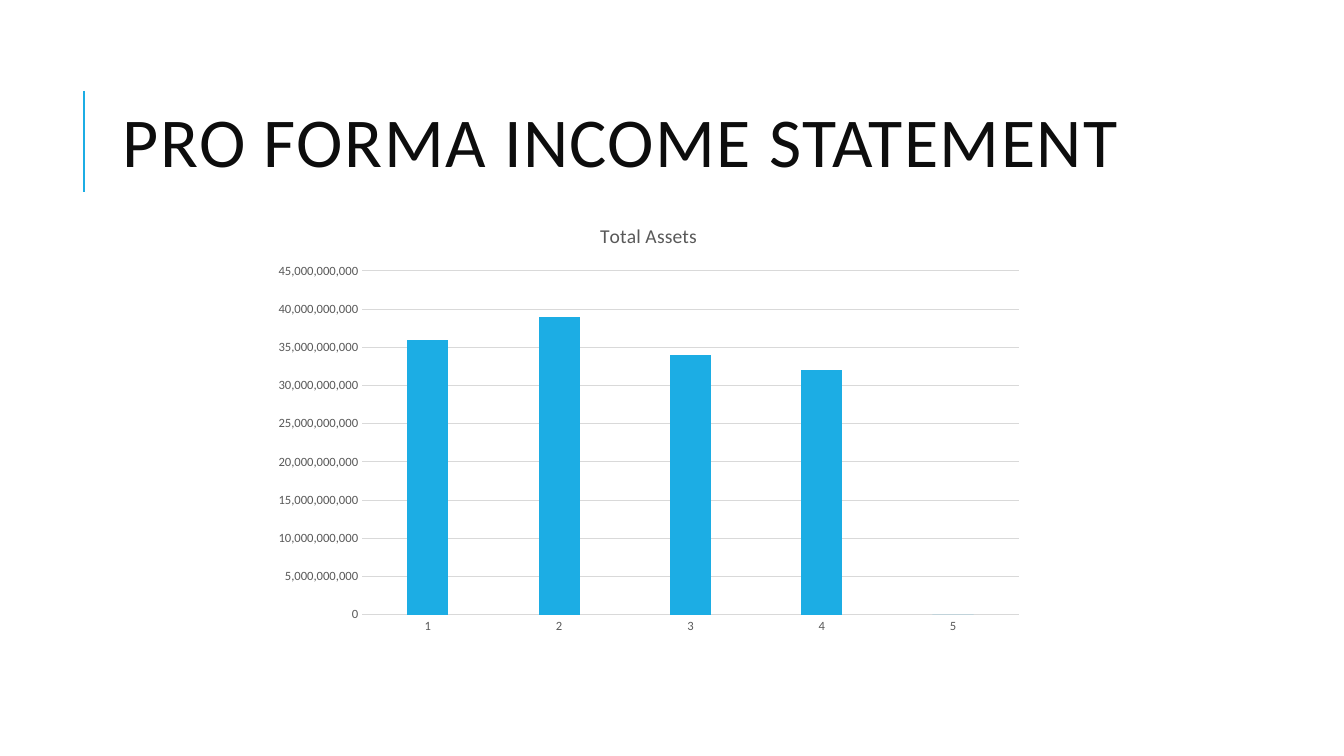
"""Build the pro forma income statement slide with its total assets chart."""
from dataclasses import dataclass

from lxml import etree
from pptx import Presentation
from pptx.chart.data import CategoryChartData
from pptx.dml.color import RGBColor
from pptx.enum import chart as kinds, shapes, text
from pptx.oxml import ns
from pptx.util import Pt


@dataclass(frozen=True)
class Theme:
    """Colours, font and type sizes of the slide."""
    face: str = "Calibri"
    accent: RGBColor = RGBColor(0x1C, 0xAD, 0xE4)
    ink: RGBColor = RGBColor(0x0D, 0x0D, 0x0D)
    label: RGBColor = RGBColor(0x59, 0x59, 0x59)
    grid: RGBColor = RGBColor(0xD9, 0xD9, 0xD9)
    title_size: float = 50
    chart_title_size: float = 14
    label_size: float = 9


THEME = Theme()


def style_font(font, size, color):
    """Set face, size and colour of regular text."""
    font.name = THEME.face
    font.size = Pt(size)
    font.bold = False
    font.color.rgb = color


def style_line(line, color, width):
    """Set colour and width of a line."""
    line.color.rgb = color
    line.width = Pt(width)


def add_title(page, wording, left, top, width, height):
    """Place and format the title placeholder."""
    box = page.shapes.title
    box.left, box.top, box.width, box.height = Pt(left), Pt(top), Pt(width), Pt(height)
    frame = box.text_frame
    frame.word_wrap = True
    frame.auto_size = text.MSO_AUTO_SIZE.NONE
    frame.vertical_anchor = text.MSO_ANCHOR.MIDDLE
    para = frame.paragraphs[0]
    para.alignment = text.PP_ALIGN.LEFT
    para.line_spacing = 0.8
    span = para.add_run()
    span.text = wording
    style_font(span.font, THEME.title_size, THEME.ink)
    span._r.get_or_add_rPr().set("spc", "100")


def add_rule(page, x, start, end):
    """Draw a vertical accent line."""
    rule = page.shapes.add_connector(
        shapes.MSO_CONNECTOR.STRAIGHT, Pt(x), Pt(start), Pt(x), Pt(end))
    style_line(rule.line, THEME.accent, 1.5)
    etree.SubElement(rule._element.spPr, ns.qn("a:effectLst"))


def add_column_chart(page, name, values, left, top, width, height):
    """Add a titled column chart with numbered categories."""
    data = CategoryChartData(number_format="#,##0")
    data.categories = [str(number) for number in range(1, len(values) + 1)]
    data.add_series(name, values)
    chart = page.shapes.add_chart(
        kinds.XL_CHART_TYPE.COLUMN_CLUSTERED,
        Pt(left), Pt(top), Pt(width), Pt(height), data).chart
    style_font(chart.font, THEME.label_size, THEME.label)
    chart.has_legend = False
    chart.has_title = True
    chart.chart_title.include_in_layout = False
    para = chart.chart_title.text_frame.paragraphs[0]
    para.add_run().text = name
    style_font(para.font, THEME.chart_title_size, THEME.label)

    plot = chart.plots[0]
    plot.vary_by_categories = False
    plot.gap_width, plot.overlap = 219, -27
    fill = plot.series[0].format.fill
    fill.solid()
    fill.fore_color.rgb = THEME.accent

    for axis in (chart.category_axis, chart.value_axis):
        axis.major_tick_mark = kinds.XL_TICK_MARK.NONE
        axis.minor_tick_mark = kinds.XL_TICK_MARK.NONE
        style_font(axis.tick_labels.font, THEME.label_size, THEME.label)
    style_line(chart.category_axis.format.line, THEME.grid, 0.75)
    scale = chart.value_axis
    scale.minimum_scale, scale.maximum_scale, scale.major_unit = 0, 45e9, 5e9
    scale.tick_labels.number_format = "#,##0"
    scale.tick_labels.number_format_is_linked = False
    scale.format.line.fill.background()
    style_line(scale.major_gridlines.format.line, THEME.grid, 0.75)


def main():
    """Build and save the deck."""
    deck = Presentation()
    deck.slide_width, deck.slide_height = Pt(960), Pt(540)
    page = deck.slides.add_slide(deck.slide_layouts.get_by_name("Title Only"))
    add_rule(page, 60, 65, 137)
    add_title(page, "PRO FORMA INCOME STATEMENT", 80.6, 46, 765.4, 118)
    assets = [36_000_000_000, 39_000_000_000, 34_000_000_000, 32_000_000_000, 0]
    add_column_chart(page, "Total Assets", assets, 187.9, 146.2, 550.8, 312.5)
    deck.save("out.pptx")


if __name__ == "__main__":
    main()
